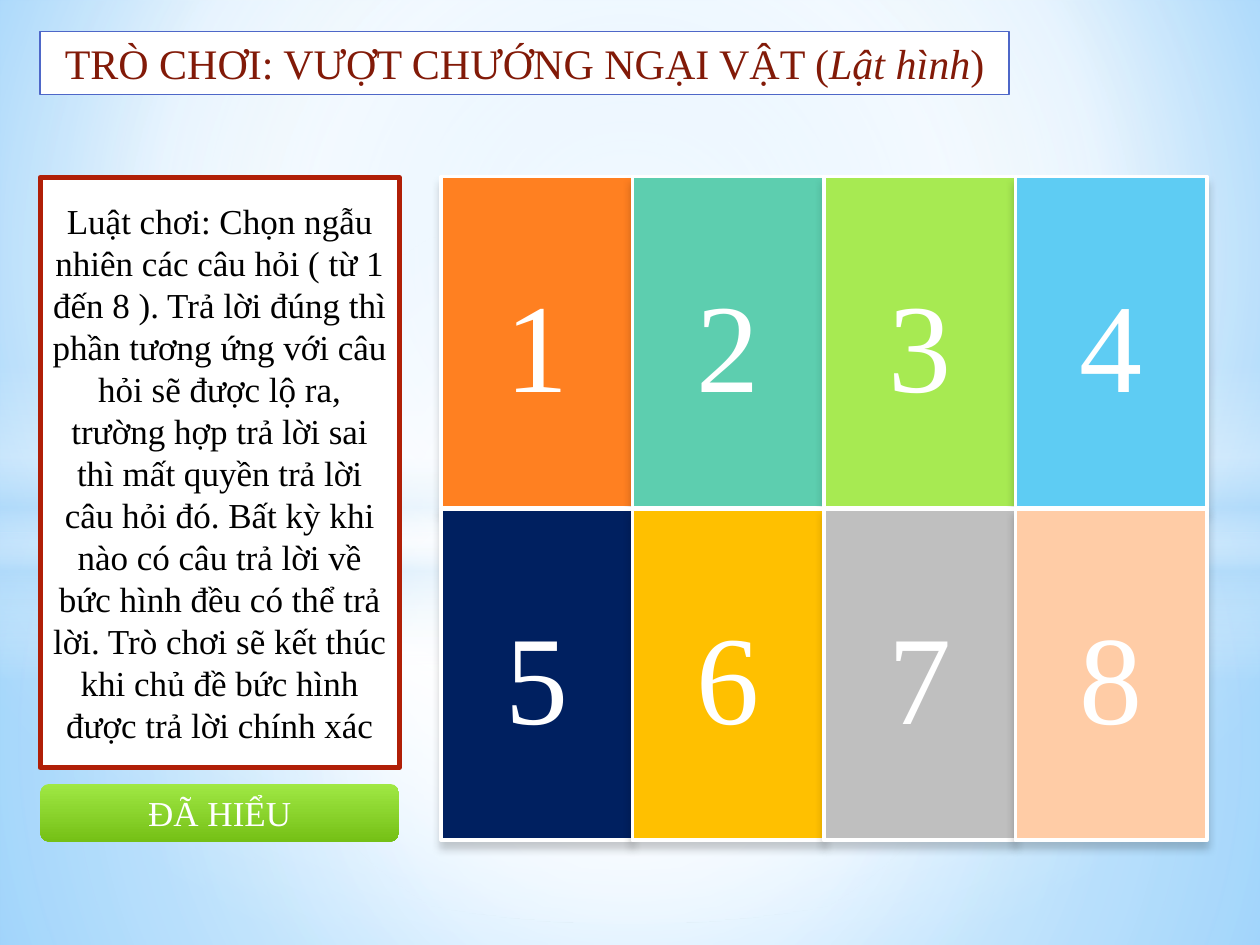
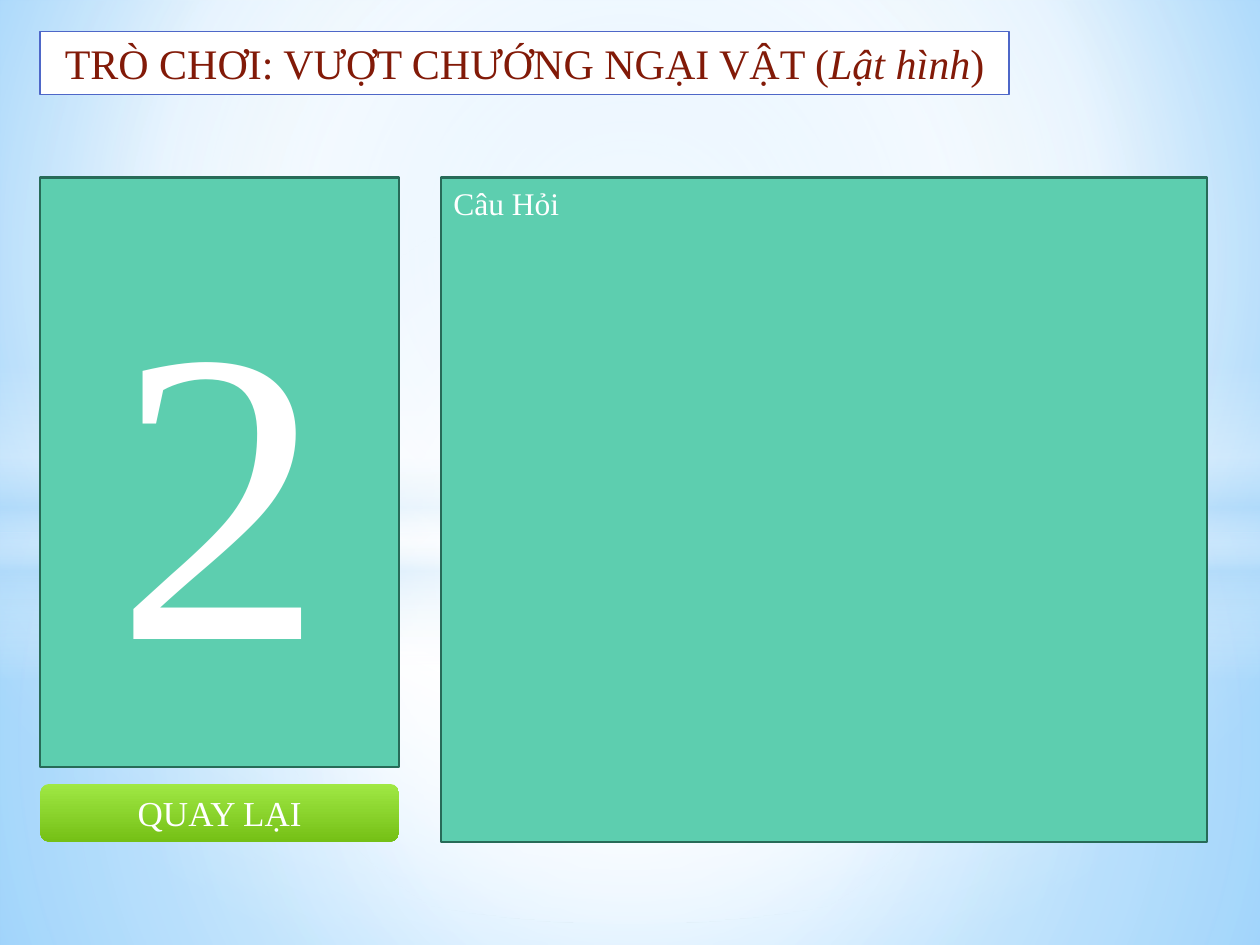
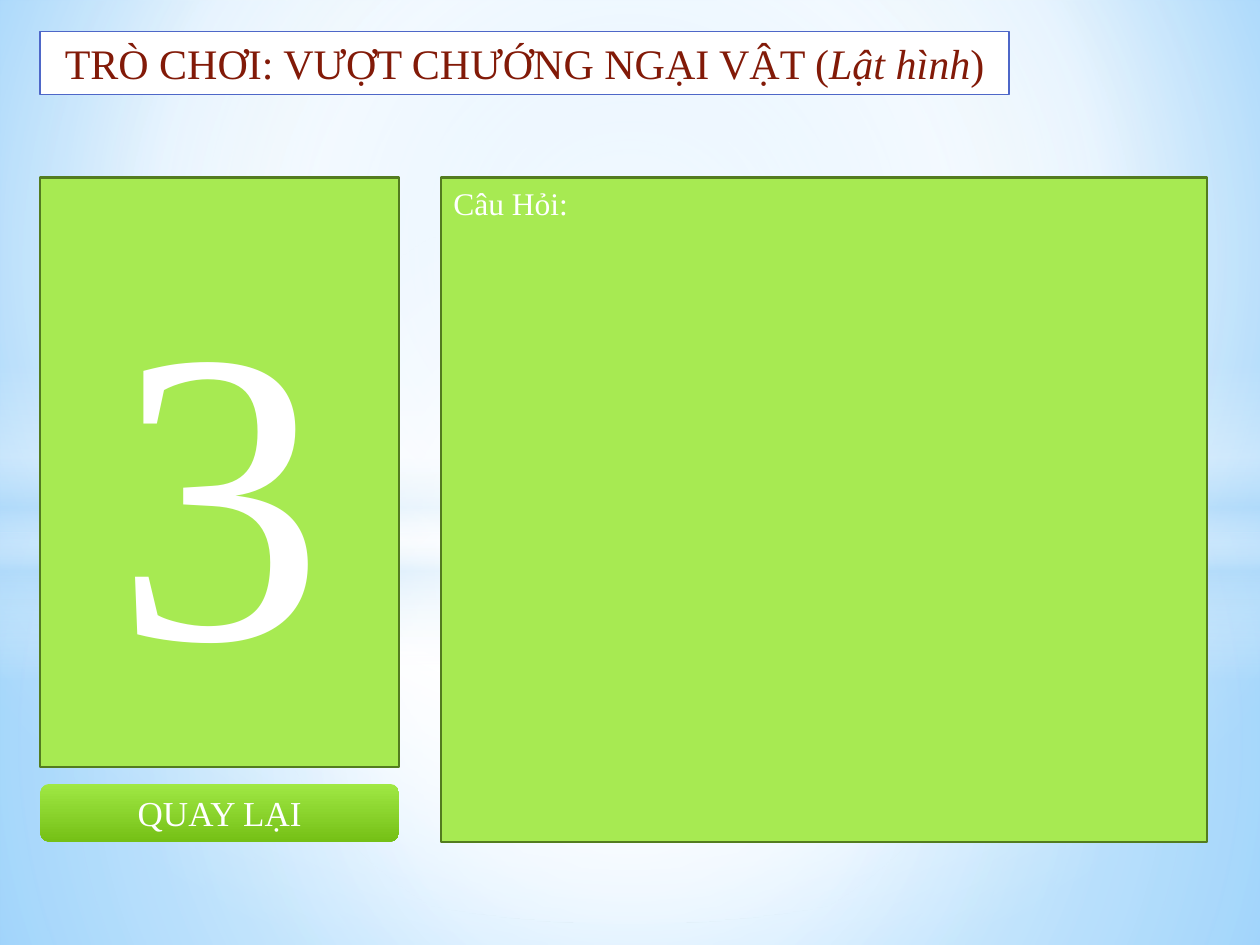
import pptx
import pptx.dml.color
import pptx.enum.shapes
import pptx.enum.text
import pptx.oxml
import pptx.oxml.ns
import pptx.util

Cm = pptx.util.Cm
Pt = pptx.util.Pt
RGBColor = pptx.dml.color.RGBColor
SHAPE = pptx.enum.shapes.MSO_SHAPE
ALIGN = pptx.enum.text.PP_ALIGN
ANCHOR = pptx.enum.text.MSO_ANCHOR
qn = pptx.oxml.ns.qn
NS = pptx.oxml.ns.nsdecls("a")

# Colours
WHITE = RGBColor(0xFF, 0xFF, 0xFF)
BLACK = RGBColor(0x00, 0x00, 0x00)
PALE_BLUE = RGBColor(0xB4, 0xDC, 0xFA)
SKY_LIGHT = RGBColor(0x9E, 0xD5, 0xFF)
SKY_DEEP = RGBColor(0x5B, 0xB9, 0xFF)
TITLE_RED = RGBColor(0x82, 0x1A, 0x08)
TITLE_BORDER = RGBColor(0x4E, 0x67, 0xC8)
RULES_BORDER = RGBColor(0xB0, 0x1F, 0x07)
BUTTON_TOP = RGBColor(0xA0, 0xE8, 0x44)
BUTTON_BOTTOM = RGBColor(0x75, 0xC0, 0x16)
TEAL = RGBColor(0x5D, 0xCE, 0xAF)
TEAL_DARK = RGBColor(0x27, 0x6B, 0x58)
LIME = RGBColor(0xA7, 0xEA, 0x52)
LIME_DARK = RGBColor(0x53, 0x7C, 0x1F)
ORANGE = RGBColor(0xFF, 0x80, 0x21)
CYAN = RGBColor(0x5E, 0xCC, 0xF3)
NAVY = RGBColor(0x00, 0x20, 0x60)
AMBER = RGBColor(0xFF, 0xC0, 0x00)
GREY = RGBColor(0xBF, 0xBF, 0xBF)
PEACH = RGBColor(0xFF, 0xCC, 0xA6)
TILE_COLORS = [ORANGE, TEAL, LIME, CYAN, NAVY, AMBER, GREY, PEACH]

# Places in centimetres: left, top, width, height
SLIDE_W, SLIDE_H = 25.4, 19.05
TITLE_AT = (0.81, 0.64, 19.53, 1.27)
SIDE_AT = (0.81, 3.58, 7.24, 11.89)
BUTTON_AT = (0.81, 15.8, 7.24, 1.17)
QUESTION_AT = (8.89, 3.58, 15.44, 13.39)
TILE_LEFT, TILE_TOP = 8.89, 3.56
TILE_W, TILE_H = 3.86, 6.68
ROW_PITCH, COLUMNS = 6.7, 4

# Text formats
FONT = "Times New Roman"
TITLE_FONT = {"name": FONT, "size": Pt(24)}
RULES_FONT = {"name": FONT, "size": Pt(20)}
TILE_FONT = {"name": FONT, "size": Pt(72)}
NUMBER_FONT = {"name": FONT, "size": Pt(239)}
QUESTION_FONT = {"name": FONT, "size": Pt(18)}

CENTRE = (50, 50, 50, 50)
RULES = (
    "Luật chơi: Chọn ngẫu nhiên các câu hỏi ( từ 1 đến 8 ). "
    "Trả lời đúng thì phần tương ứng với câu hỏi sẽ được lộ ra, "
    "trường hợp trả lời sai thì mất quyền trả lời câu hỏi đó. "
    "Bất kỳ khi nào có câu trả lời về bức hình đều có thể trả lời. "
    "Trò chơi sẽ kết thúc khi chủ đề bức hình được trả lời chính xác"
)


def set_gradient(owner, stops, focus=None):
    """Fill with (position, colour, opacity) stops: round a focus, or downwards."""
    stop_xml = "".join(
        f'<a:gs pos="{pos * 1000}"><a:srgbClr val="{color}">'
        f'<a:alpha val="{opacity * 1000}"/></a:srgbClr></a:gs>'
        for pos, color, opacity in stops)
    if focus:
        edges = " ".join(f'{side}="{inset * 1000}"' for side, inset in zip("ltrb", focus))
        direction = f'<a:path path="circle"><a:fillToRect {edges}/></a:path>'
    else:
        direction = '<a:lin ang="5400000" scaled="0"/>'
    gradient = pptx.oxml.parse_xml(
        f'<a:gradFill {NS} rotWithShape="1"><a:gsLst>{stop_xml}</a:gsLst>{direction}</a:gradFill>')
    empty_fill = owner.element.find(".//" + qn("a:noFill"))
    empty_fill.getparent().replace(empty_fill, gradient)


def add_panel(slide, place, fill=None, border=None, width=0, kind=SHAPE.RECTANGLE):
    """Add a flat shape; a list as fill means gradient stops."""
    panel = slide.shapes.add_shape(kind, *map(Cm, place))
    panel.shadow.inherit = False
    if isinstance(fill, list):
        panel.fill.background()
        set_gradient(panel, fill)
    else:
        panel.fill.solid()
        panel.fill.fore_color.rgb = fill
    if border is None:
        panel.line.fill.background()
    else:
        panel.line.color.rgb = border
        panel.line.width = Pt(width)
    return panel


def write(panel, runs, font, color=WHITE, align=ALIGN.CENTER, anchor=ANCHOR.MIDDLE):
    """Write one paragraph from (text, italic) runs."""
    frame = panel.text_frame
    frame.word_wrap = True
    frame.vertical_anchor = anchor
    paragraph = frame.paragraphs[0]
    paragraph.alignment = align
    for text, italic in runs:
        run = paragraph.add_run()
        run.text = text
        for key, value in {**font, "italic": italic}.items():
            setattr(run.font, key, value)
        run.font.color.rgb = color


def build_backdrop(layout, slide):
    """Give the layout its sky: draw the glows on a slide, then move them over."""
    for placeholder in list(layout.placeholders):
        layout.shapes.element.remove(placeholder.element)
    layout.background.fill.background()
    set_gradient(layout, [(0, SKY_LIGHT, 100), (60, WHITE, 100), (100, SKY_DEEP, 100)],
                 (20, 10, 20, 60))
    glows = [
        (SHAPE.RECTANGLE, 10.74, 8.31, CENTRE,
         [(0, WHITE, 91), (37, WHITE, 76), (100, PALE_BLUE, 79)]),
        (SHAPE.RECTANGLE, 0, 10.74, CENTRE,
         [(0, WHITE, 89), (48, WHITE, 62), (100, PALE_BLUE, 79)]),
        (SHAPE.RECTANGLE, 7.37, 6.35, None,
         [(0, WHITE, 0), (29, WHITE, 30), (45, PALE_BLUE, 40),
          (55, WHITE, 26), (65, PALE_BLUE, 60), (100, WHITE, 0)]),
        (SHAPE.OVAL, 4.45, 14.17, CENTRE, [(0, WHITE, 100), (54, WHITE, 0)]),
    ]
    for kind, top, height, focus, stops in glows:
        glow = slide.shapes.add_shape(kind, 0, Cm(top), Cm(SLIDE_W), Cm(height))
        glow.shadow.inherit = False
        glow.fill.background()
        set_gradient(glow, stops, focus)
        glow.line.fill.background()
        layout.shapes.element.append(glow.element)


def add_title(slide):
    title = add_panel(slide, TITLE_AT, WHITE, TITLE_BORDER, 0.75)
    write(title, [("TRÒ CHƠI: VƯỢT CHƯỚNG NGẠI VẬT (", False), ("Lật hình", True), (")", False)],
          TITLE_FONT, TITLE_RED, anchor=ANCHOR.TOP)
    title.text_frame.auto_size = pptx.enum.text.MSO_AUTO_SIZE.SHAPE_TO_FIT_TEXT


def add_button(slide, label):
    button = add_panel(slide, BUTTON_AT, [(0, BUTTON_TOP, 100), (100, BUTTON_BOTTOM, 100)],
                       kind=SHAPE.ROUNDED_RECTANGLE)
    write(button, [(label, False)], RULES_FONT)


def add_tile(slide, index, color):
    row, column = divmod(index, COLUMNS)
    place = (TILE_LEFT + column * TILE_W, TILE_TOP + row * ROW_PITCH, TILE_W, TILE_H)
    tile = add_panel(slide, place, color, WHITE, 2)
    write(tile, [(str(index + 1), False)], TILE_FONT)
    tile.element.spPr.find(qn("a:effectLst")).append(pptx.oxml.parse_xml(
        f'<a:outerShdw {NS} blurRad="{Pt(5)}" dist="{Pt(4)}" dir="5400000" rotWithShape="0">'
        f'<a:srgbClr val="{BLACK}"><a:alpha val="20000"/></a:srgbClr></a:outerShdw>'))


def fill_board_slide(slide):
    add_title(slide)
    for index, color in enumerate(TILE_COLORS):
        add_tile(slide, index, color)
    rules = add_panel(slide, SIDE_AT, WHITE, RULES_BORDER, 3)
    write(rules, [(RULES, False)], RULES_FONT, BLACK)
    add_button(slide, "ĐÃ HIỂU")


def fill_question_slide(slide, number, heading, color, border):
    add_title(slide)
    add_button(slide, "QUAY LẠI")
    number_card = add_panel(slide, SIDE_AT, color, border, 1.25)
    write(number_card, [(number, False)], NUMBER_FONT)
    question = add_panel(slide, QUESTION_AT, color, border, 1.25)
    write(question, [(heading, False)], QUESTION_FONT, align=ALIGN.LEFT, anchor=ANCHOR.TOP)


def main():
    deck = pptx.Presentation()
    deck.slide_width, deck.slide_height = Cm(SLIDE_W), Cm(SLIDE_H)
    blank = deck.slide_layouts[6]

    # Board with the eight tiles
    board = deck.slides.add_slide(blank)
    build_backdrop(blank, board)
    fill_board_slide(board)

    # Question slides
    for question in [("2", "Câu Hỏi", TEAL, TEAL_DARK), ("3", "Câu Hỏi:", LIME, LIME_DARK)]:
        fill_question_slide(deck.slides.add_slide(blank), *question)

    deck.save("out.pptx")


if __name__ == "__main__":
    main()
